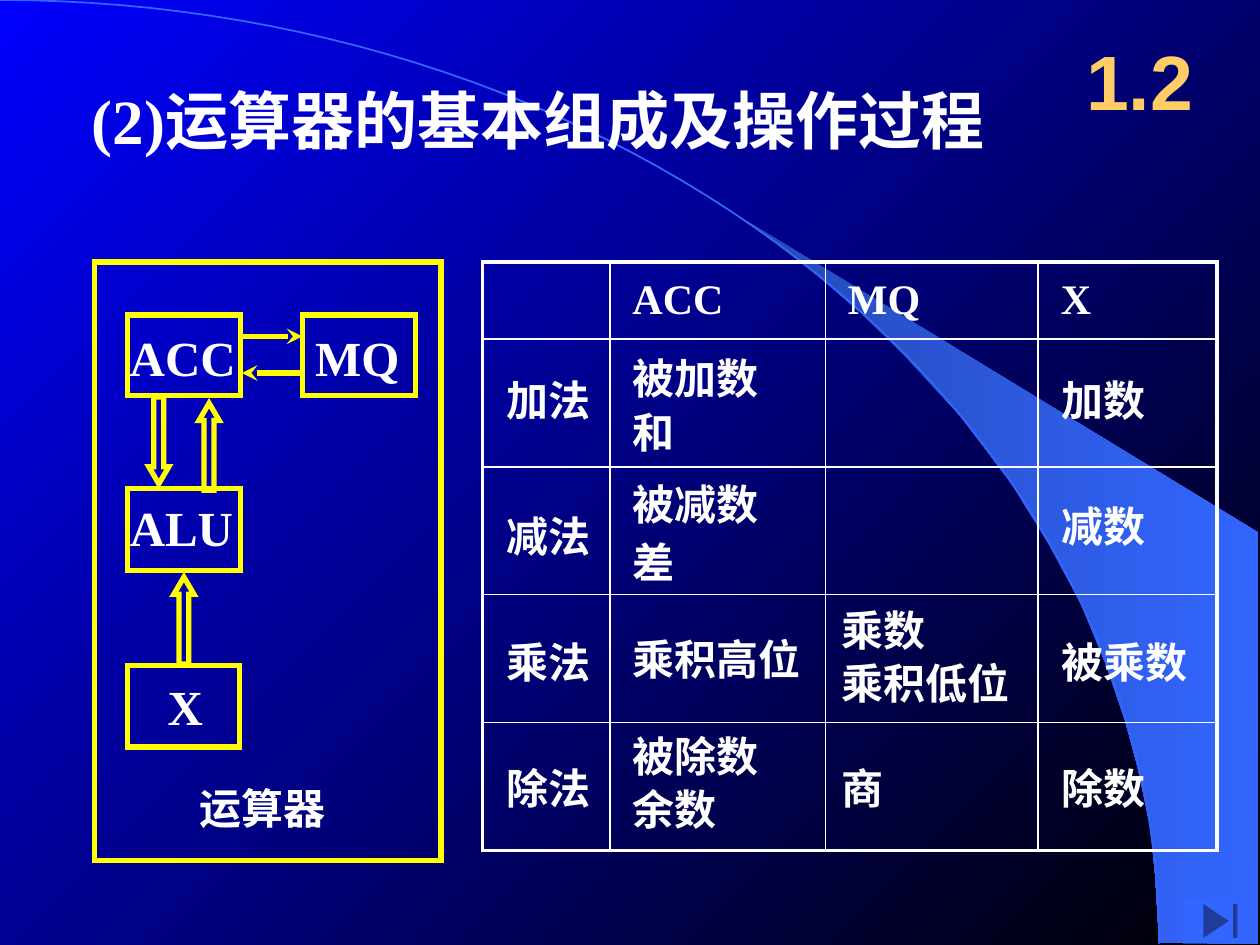
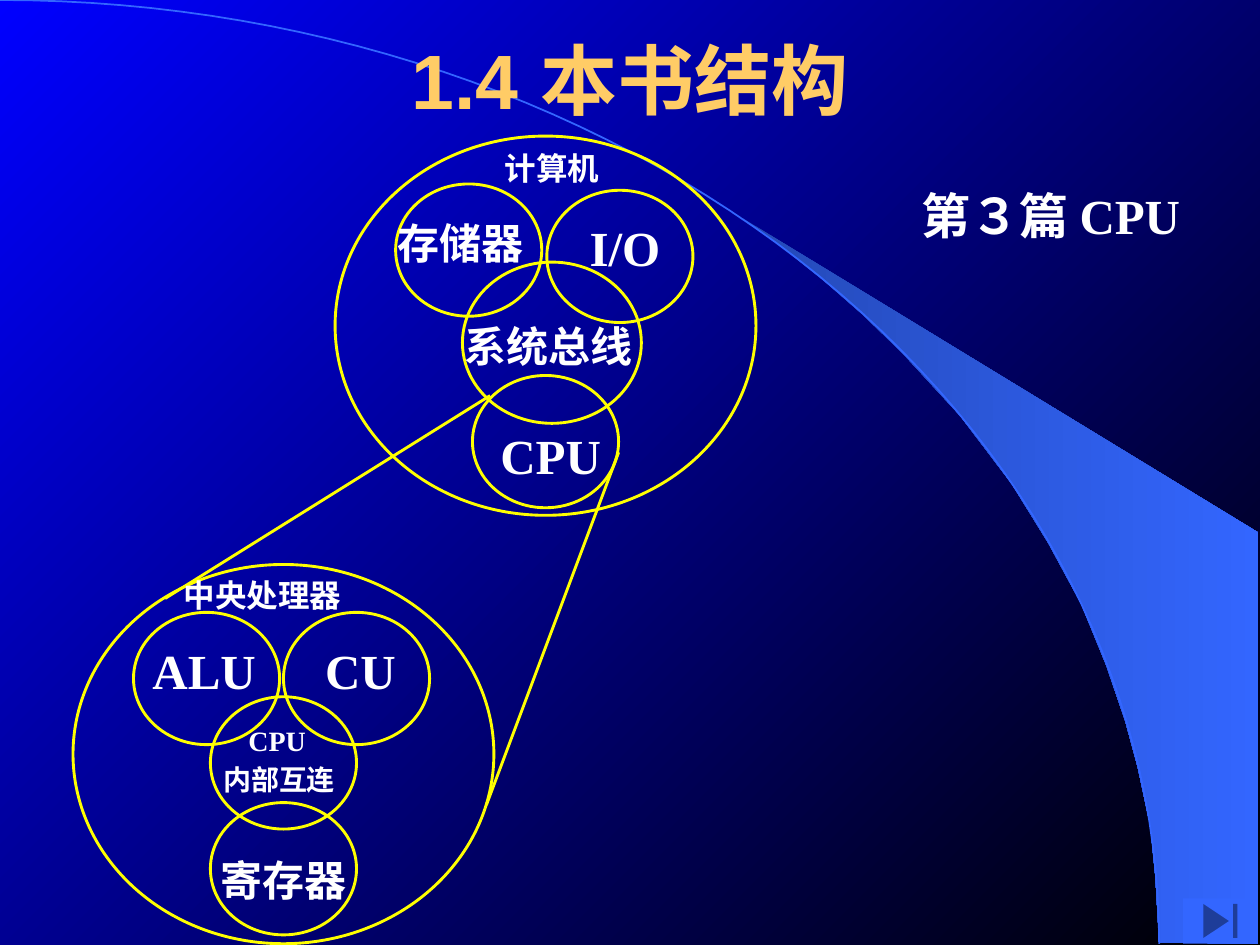
from math import cos, pi, sin

from lxml.etree import SubElement
from pptx import Presentation
from pptx.dml.color import RGBColor
from pptx.enum.shapes import MSO_CONNECTOR, MSO_SHAPE
from pptx.enum.text import MSO_ANCHOR as ANCHOR, MSO_AUTO_SIZE, PP_ALIGN as ALIGN
from pptx.oxml.ns import qn
from pptx.util import Inches, Pt

BLUE = RGBColor(0x00, 0x00, 0xFF)
BLACK = RGBColor(0x00, 0x00, 0x00)
DARK_ACCENT = RGBColor(0x24, 0x49, 0xB6)
ACCENT = RGBColor(0x33, 0x66, 0xFF)
GOLD = RGBColor(0xFF, 0xCC, 0x66)
YELLOW = RGBColor(0xFF, 0xFF, 0x00)
WHITE = RGBColor(0xFF, 0xFF, 0xFF)
LATIN, CJK = "Times New Roman", "Noto Sans CJK SC"

TITLE = dict(size=44, font="Arial", color=GOLD, align=ALIGN.CENTER, anchor=ANCHOR.MIDDLE, grow=False)
LABEL = dict(margin=0, wrap=False, align=ALIGN.CENTER)


def write_text(holder, text, box=None, size=24, font=LATIN, color=WHITE, align=ALIGN.LEFT,
               anchor=ANCHOR.TOP, margin=None, wrap=True, grow=True):
    """Write into a new text box on the slide, or into a table cell if no box is given."""
    if box:
        frame = holder.shapes.add_textbox(*map(Inches, box)).text_frame
        frame.word_wrap = wrap
        frame.vertical_anchor = anchor
        frame.auto_size = MSO_AUTO_SIZE.SHAPE_TO_FIT_TEXT if grow else MSO_AUTO_SIZE.NONE
        if margin is not None:
            frame.margin_left = frame.margin_right = Inches(margin)
            frame.margin_top = frame.margin_bottom = Inches(margin)
    else:
        frame = holder.text_frame
    paragraph = frame.paragraphs[0]
    paragraph.alignment = align
    run = paragraph.add_run()
    run.text = text
    run.font.size = Pt(size)
    run.font.bold = True
    run.font.name = font
    run.font.color.rgb = color
    SubElement(run._r.get_or_add_rPr(), qn("a:ea"), typeface=CJK)


def style_outline(shape, weight, color=YELLOW):
    """Leave only a plain line with sharp corners: no fill and no shadow."""
    if hasattr(shape, "fill"):
        shape.fill.background()
    shape.line.color.rgb = color
    shape.line.width = Pt(weight)
    properties = shape._element.spPr
    SubElement(properties.find(qn("a:ln")), qn("a:miter"), lim="800000")
    SubElement(properties, qn("a:effectLst"))


presentation = Presentation()
presentation.slide_width, presentation.slide_height = Inches(10), Inches(7.5)

# Shared background, curved band and navigation button
background = presentation.slide_master.background.fill
background.gradient()
background.gradient_angle = 315
for stop, color in zip(background.gradient_stops, (BLUE, BLACK)):
    stop.color.rgb = color

band_points = [
    (9.2, 7.48), (9.99, 7.49), (9.99, 4.23), (5.89, 1.73), (6.24, 1.99), (6.53, 2.22),
    (6.85, 2.5), (7.16, 2.8), (7.62, 3.3), (8.03, 3.84), (8.32, 4.31), (8.58, 4.79),
    (8.78, 5.28), (8.93, 5.72), (9.03, 6.09), (9.13, 6.56), (9.17, 6.96),
]
ARC_WIDTH, ARC_HEIGHT, ARC_STEPS = 9.2, 7.49, 60
arc_angles = [pi / 2 * step / ARC_STEPS for step in range(ARC_STEPS + 1)]
arc_points = [(ARC_WIDTH * sin(a), ARC_HEIGHT * (1 - cos(a))) for a in arc_angles]

slides = []
for number in range(2):
    slide = presentation.slides.add_slide(presentation.slide_layouts[6])
    slides.append(slide)
    outlines = []
    for points, closed in ((band_points, True), (arc_points, False)):
        corners = [(Inches(x), Inches(y)) for x, y in points]
        builder = slide.shapes.build_freeform(*corners[0])
        builder.add_line_segments(corners[1:], close=closed)
        outlines.append(builder.convert_to_shape())
    band, arc = outlines
    band.shadow.inherit = False
    band.line.fill.background()
    band.fill.gradient()
    band.fill.gradient_angle = 0
    for stop, color in zip(band.fill.gradient_stops, (DARK_ACCENT, ACCENT)):
        stop.color.rgb = color
    style_outline(arc, 1, ACCENT)

    button = slide.shapes.add_shape(
        MSO_SHAPE.ACTION_BUTTON_END, Inches(9.39), Inches(7.13), Inches(0.59), Inches(0.36))
    button.shadow.inherit = False
    button.fill.solid()
    button.fill.fore_color.rgb = ACCENT
    button.line.fill.background()

unit_slide, structure_slide = slides

# Slide 1: operation table
TABLE_HEIGHT, HEADER_HEIGHT = 4.67, 0.61
table = unit_slide.shapes.add_table(
    5, 4, Inches(3.83), Inches(2.08), Inches(5.83), Inches(TABLE_HEIGHT)).table
table.first_row = table.horz_banding = False
for column, width in zip(table.columns, (1.01, 1.71, 1.69, 1.42)):
    column.width = Inches(width)
for index, row in enumerate(table.rows):
    row.height = Inches((TABLE_HEIGHT - HEADER_HEIGHT) / 4 if index else HEADER_HEIGHT)
    for column_index, cell in enumerate(row.cells):
        outer_edges = {"lnL": column_index == 0, "lnR": column_index == 3,
                       "lnT": index == 0, "lnB": index == 4}
        properties = cell._tc.get_or_add_tcPr()
        for edge, is_outer in outer_edges.items():
            border = SubElement(properties, qn(f"a:{edge}"), w=str(Pt(2.25 if is_outer else 1)))
            border_fill = SubElement(border, qn("a:solidFill"))
            SubElement(border_fill, qn("a:srgbClr"), val=str(WHITE))
        cell.fill.background()
for column_index, register in enumerate(("ACC", "MQ", "X"), start=1):
    header = table.cell(0, column_index)
    header.vertical_anchor = ANCHOR.MIDDLE
    header.margin_left = Inches(0.18)
    write_text(header, register)

# Operands by column: left, width, then (top, text)
operand_columns = [
    (3.92, 1.2, [(2.92, "加法"), (4, "减法"), (5, "乘法"), (6, "除法")]),
    (4.92, 2, [(2.75, "被加数"), (3.18, "和"), (3.75, "被减数"), (4.21, "差"),
               (4.98, "乘积高位"), (5.75, "被除数"), (6.17, "余数")]),
    (6.58, 2, [(4.75, "乘数"), (5.17, "乘积低位"), (6, "商")]),
    (8.33, 1.5, [(2.92, "加数"), (3.92, "减数"), (5, "被乘数"), (6, "除数")]),
]
for left, width, operands in operand_columns:
    for top, operand in operands:
        write_text(unit_slide, operand, (left, top, width, 0.5))

write_text(unit_slide, "(2)运算器的基本组成及操作过程", (0.63, 0.6, 7.99, 0.7), size=36)
write_text(unit_slide, "1.2", (8.42, 0.17, 1.25, 0.92), **TITLE)

# Slide 1: arithmetic unit diagram
for left, top, width, height in (
        (0.75, 2.08, 2.75, 4.75), (1.01, 2.5, 0.9, 0.64), (2.4, 2.5, 0.9, 0.64),
        (1.01, 3.88, 0.9, 0.65), (1.01, 5.28, 0.89, 0.65)):
    rectangle = unit_slide.shapes.add_shape(
        MSO_SHAPE.RECTANGLE, Inches(left), Inches(top), Inches(width), Inches(height))
    style_outline(rectangle, 3)

for register, left, top, width in (("ACC", 0.99, 2.6, 0.92), ("MQ", 2.46, 2.6, 0.75),
                                   ("ALU", 0.99, 3.95, 0.9), ("X", 1.28, 5.37, 0.38)):
    write_text(unit_slide, register, (left, top, width, 0.47), size=28, **LABEL)
write_text(unit_slide, "运算器", (1.53, 6.21, 1.11, 0.4), font=CJK, **LABEL)

for left, top, rotation in ((1.18, 3.15, 180), (1.58, 3.2, 0), (1.38, 4.58, 0)):
    block_arrow = unit_slide.shapes.add_shape(
        MSO_SHAPE.UP_ARROW, Inches(left), Inches(top), Inches(0.16), Inches(0.69))
    block_arrow.adjustments[0], block_arrow.adjustments[1] = 0.495, 0.857
    block_arrow.rotation = rotation
    style_outline(block_arrow, 3)

for start, end, y in ((1.91, 2.4, 2.67), (2.4, 1.92, 2.96)):
    arrow = unit_slide.shapes.add_connector(
        MSO_CONNECTOR.STRAIGHT, Inches(start), Inches(y), Inches(end), Inches(y))
    style_outline(arrow, 3)
    SubElement(arrow._element.spPr.find(qn("a:ln")), qn("a:tailEnd"), type="stealth")

# Slide 2: computer and CPU structure
write_text(structure_slide, "1.4 本书结构", (0.75, 0, 8.5, 1.25), **TITLE)
write_text(structure_slide, "第３篇 CPU", (6.68, 1.42, 3.32, 0.57), size=28, align=ALIGN.CENTER)

BIG, BUS, SMALL = (3.34, 3.01), (1.42, 1.28), (1.16, 1.05)
for left, top, (width, height) in (
        (2.66, 1.08, BIG), (3.67, 2.08, BUS), (3.14, 1.46, SMALL), (4.34, 1.51, SMALL),
        (3.75, 2.98, SMALL), (0.58, 4.48, BIG), (1.67, 5.53, SMALL), (1.06, 4.86, SMALL),
        (2.25, 4.86, SMALL), (1.67, 6.37, SMALL)):
    ellipse = structure_slide.shapes.add_shape(
        MSO_SHAPE.OVAL, Inches(left), Inches(top), Inches(width), Inches(height))
    style_outline(ellipse, 1.63)

for ends in ((3.89, 3.14, 1.31, 4.75), (4.91, 3.59, 3.86, 6.39)):
    zoom_line = structure_slide.shapes.add_connector(MSO_CONNECTOR.STRAIGHT, *map(Inches, ends))
    style_outline(zoom_line, 1.63)

for text, box, size, font in (
        ("计算机", (3.95, 1.18, 0.86, 0.3), 18, CJK),
        ("存储器", (3.1, 1.73, 1.11, 0.4), 24, CJK),
        ("I/O", (4.55, 1.73, 0.82, 0.47), 28, LATIN),
        ("系统总线", (3.63, 2.54, 1.45, 0.4), 24, CJK),
        ("CPU", (3.92, 3.38, 0.9, 0.47), 28, LATIN),
        ("中央处理器", (1.41, 4.57, 1.35, 0.3), 18, CJK),
        ("ALU", (1.17, 5.08, 0.9, 0.47), 28, LATIN),
        ("CU", (2.52, 5.08, 0.68, 0.47), 28, LATIN),
        ("CPU", (1.92, 5.74, 0.56, 0.27), 16, LATIN),
        ("内部互连", (1.72, 6.05, 0.99, 0.27), 16, CJK),
        ("寄存器", (1.7, 6.78, 1.1, 0.4), 24, CJK)):
    write_text(structure_slide, text, box, size=size, font=font, **LABEL)

presentation.save("out.pptx")
